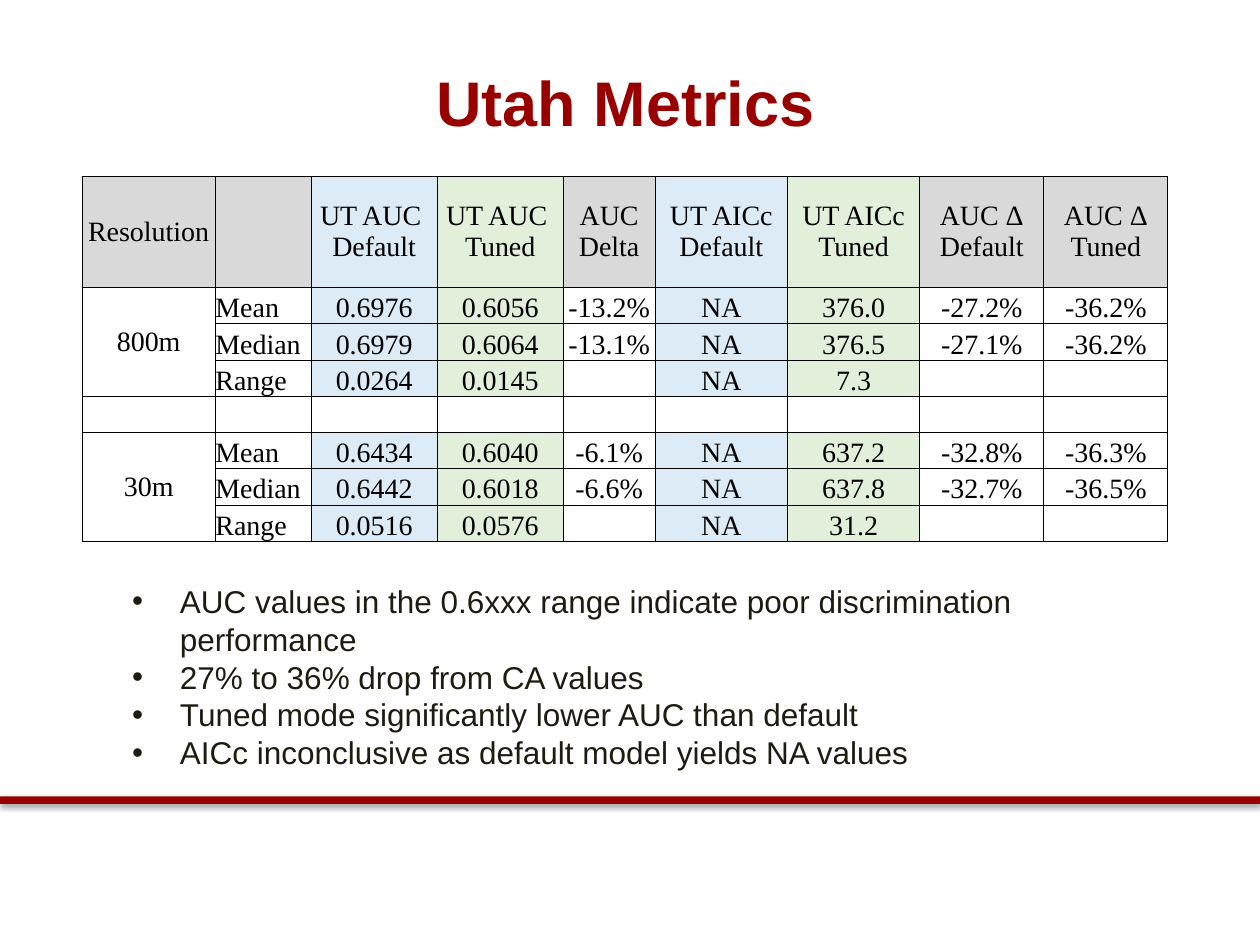
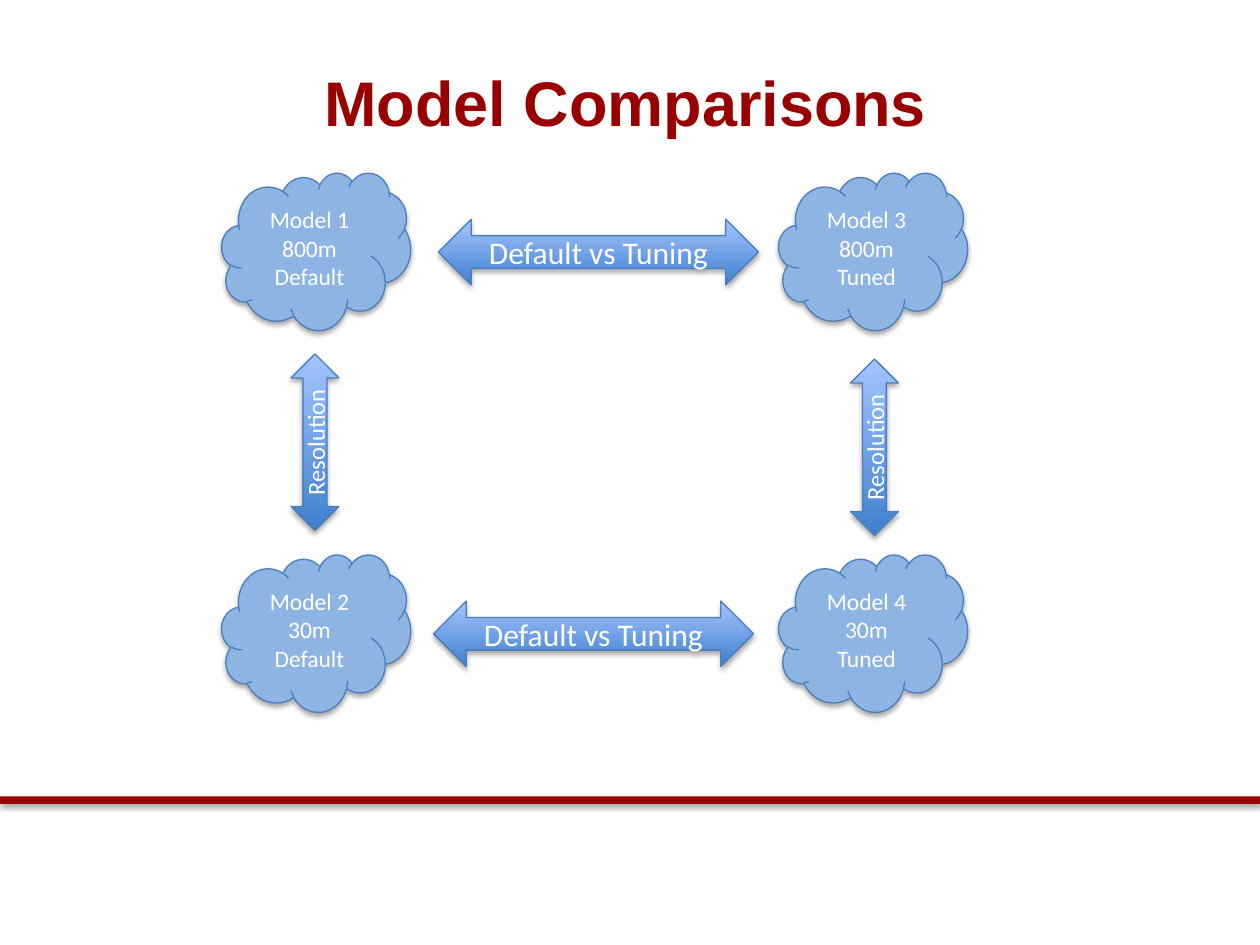
from lxml import etree
from pptx import Presentation
from pptx.dml.color import RGBColor
from pptx.enum import shapes, text
from pptx.oxml import ns
from pptx.util import Inches, Pt

RED = RGBColor(0x99, 0x00, 0x00)
WHITE = RGBColor(0xFF, 0xFF, 0xFF)
BLACK = RGBColor(0x00, 0x00, 0x00)
INK = RGBColor(0x1E, 0x1C, 0x11)
GREY = RGBColor(0xD9, 0xD9, 0xD9)
PALE_BLUE = RGBColor(0xDD, 0xEB, 0xF7)
PALE_GREEN = RGBColor(0xE2, 0xEF, 0xDA)
CLOUD_BLUE = RGBColor(0x8E, 0xB4, 0xE3)
OUTLINE_BLUE = RGBColor(0x4B, 0x7E, 0xBC)
ARROW_DARK = RGBColor(0x3F, 0x80, 0xCE)
ARROW_LIGHT = RGBColor(0xA4, 0xC4, 0xFF)

WIDTH, HEIGHT = 10, 7.5
SHAPE = shapes.MSO_SHAPE
CENTER, LEFT = text.PP_ALIGN.CENTER, text.PP_ALIGN.LEFT
MIDDLE, BOTTOM = text.MSO_ANCHOR.MIDDLE, text.MSO_ANCHOR.BOTTOM

# Column: heading, width, fill of the heading, fill of the values
COLUMNS = [
    ("Resolution", 1.06, GREY, None),
    ("", 0.76, GREY, None),
    ("UT AUC \nDefault", 1.0, PALE_BLUE, PALE_BLUE),
    ("UT AUC \nTuned", 1.0, PALE_GREEN, PALE_GREEN),
    ("AUC\nDelta", 0.73, GREY, None),
    ("UT AICc\nDefault", 1.05, PALE_BLUE, PALE_BLUE),
    ("UT AICc\nTuned", 1.05, PALE_GREEN, PALE_GREEN),
    ("AUC Δ\nDefault", 0.985, GREY, None),
    ("AUC Δ\nTuned", 0.985, GREY, None),
]
METRICS = [
    ("800m", "Mean", "0.6976", "0.6056", "-13.2%", "NA", "376.0", "-27.2%", "-36.2%"),
    ("", "Median", "0.6979", "0.6064", "-13.1%", "NA", "376.5", "-27.1%", "-36.2%"),
    ("", "Range", "0.0264", "0.0145", "", "NA", "7.3", "", ""),
    ("",) * len(COLUMNS),
    ("30m", "Mean", "0.6434", "0.6040", "-6.1%", "NA", "637.2", "-32.8%", "-36.3%"),
    ("", "Median", "0.6442", "0.6018", "-6.6%", "NA", "637.8", "-32.7%", "-36.5%"),
    ("", "Range", "0.0516", "0.0576", "", "NA", "31.2", "", ""),
]
GAP_ROW = 4
RESOLUTION_ROWS = [(1, 3), (5, 7)]
HEADING_HEIGHT, ROW_HEIGHT, GAP_HEIGHT = 0.88, 0.29, 0.28

FINDINGS = [
    "AUC values in the 0.6xxx range indicate poor discrimination performance",
    "27% to 36% drop from CA values",
    "Tuned mode significantly lower AUC than default",
    "AICc inconclusive as default model yields NA values",
]

# Models by column and row of the diagram
CLOUD_LEFTS, CLOUD_TOPS = (1.76, 6.18), (1.37, 4.4)
CLOUD_SIZE = (1.5, 1.25)
MODELS = [
    (0, 1, "Model 2\n30m\nDefault"),
    (1, 0, "Model 3\n800m\nTuned"),
    (1, 1, "Model 4\n30m\nTuned"),
    (0, 0, "Model 1\n800m\nDefault"),
]
ACROSS = ("Default vs Tuning", SHAPE.LEFT_RIGHT_ARROW, (2.54, 0.52), 18)
UPRIGHT = ("Resolution", SHAPE.UP_DOWN_ARROW, (0.38, 1.4), 14)
ARROWS = [
    (ACROSS, (3.48, 1.74)),
    (ACROSS, (3.44, 4.77)),
    (UPRIGHT, (6.75, 2.85)),
    (UPRIGHT, (2.31, 2.81)),
]


def inches(*lengths):
    return [Inches(length) for length in lengths]


def add_element(parent, tag, **attributes):
    element = etree.SubElement(parent, ns.qn(tag))
    for name, value in attributes.items():
        element.set(name, str(value))
    return element


def add_span(para, words, size, font, color, bold=False):
    span = para.add_run()
    span.text = words
    span.font.size, span.font.name, span.font.bold = Pt(size), font, bold
    span.font.color.rgb = color


def add_shadow(shape, opacity, distance):
    shape.shadow.inherit = False
    effects = shape._element.spPr.find(ns.qn("a:effectLst"))
    shadow = add_element(effects, "a:outerShdw", blurRad=Pt(3.1), dist=Pt(distance),
                         dir=90 * 60000, rotWithShape=0)
    color = add_element(shadow, "a:srgbClr", val=BLACK)
    add_element(color, "a:alpha", val=opacity * 1000)


def add_text_box(page, place):
    frame = page.shapes.add_textbox(*inches(*place)).text_frame
    frame.word_wrap = True
    return frame


def start_page(deck, title):
    """Add a blank page with the red band and its title."""
    page = deck.slides.add_slide(deck.slide_layouts[6])
    band = page.shapes.add_shape(SHAPE.RECTANGLE, *inches(0, 6.32, WIDTH, 0.06))
    band.fill.solid()
    band.fill.fore_color.rgb = RED
    band.line.fill.background()
    add_shadow(band, 38, 1.6)
    para = add_text_box(page, (0.88, 0.44, 8.17, 0.71)).paragraphs[0]
    para.alignment, para.line_spacing = CENTER, Pt(44)
    add_span(para, title, 36, "Arial", RED, bold=True)
    return page


def add_borders(cell):
    properties = cell._tc.get_or_add_tcPr()
    for side in ("a:lnL", "a:lnR", "a:lnT", "a:lnB"):
        line = add_element(properties, side, w=Pt(0.5))
        add_element(add_element(line, "a:solidFill"), "a:srgbClr", val=BLACK)


def fill_cell(cell, words, fill, anchor, alignment):
    cell.margin_left = cell.margin_right = cell.margin_top = cell.margin_bottom = 0
    cell.vertical_anchor = anchor
    add_borders(cell)
    if fill is None:
        cell.fill.background()
    else:
        cell.fill.solid()
        cell.fill.fore_color.rgb = fill
    para = cell.text_frame.paragraphs[0]
    para.alignment = alignment
    if not words:
        add_element(para._p, "a:endParaRPr", sz=1600)
        return
    for number, line in enumerate(words.split("\n")):
        if number:
            para.add_line_break()
        add_span(para, line, 16, "Times New Roman", BLACK)


def add_metrics_table(page):
    heights = [HEADING_HEIGHT] + [ROW_HEIGHT] * len(METRICS)
    heights[GAP_ROW] = GAP_HEIGHT
    widths = [width for _, width, _, _ in COLUMNS]
    table = page.shapes.add_table(len(heights), len(widths),
                                  *inches(0.65, 1.4, sum(widths), sum(heights))).table
    table.first_row = table.horz_banding = False
    for row, height in zip(table.rows, heights):
        row.height = Inches(height)
    for c, (heading, width, heading_fill, value_fill) in enumerate(COLUMNS):
        table.columns[c].width = Inches(width)
        fill_cell(table.cell(0, c), heading, heading_fill, MIDDLE, CENTER)
        for r, values in enumerate(METRICS, start=1):
            fill_cell(table.cell(r, c), values[c],
                      None if r == GAP_ROW else value_fill,
                      MIDDLE if c == 0 else BOTTOM,
                      LEFT if c == 1 else CENTER)
    for first, last in RESOLUTION_ROWS:
        table.cell(first, 0).merge(table.cell(last, 0))


def add_findings(page):
    frame = add_text_box(page, (0.95, 4.57, 8.09, 1.62))
    for number, finding in enumerate(FINDINGS):
        para = frame.add_paragraph() if number else frame.paragraphs[0]
        properties = para._p.get_or_add_pPr()
        properties.set("marL", str(Inches(0.38)))
        properties.set("indent", str(-Inches(0.38)))
        add_element(properties, "a:buFont", typeface="Arial")
        add_element(properties, "a:buChar", char="•")
        para.line_spacing = Pt(21.6)
        add_span(para, finding, 18, "Arial", INK)


def add_diagram_shape(page, kind, place, size, words, text_size):
    shape = page.shapes.add_shape(kind, *inches(*place, *size))
    shape.line.color.rgb, shape.line.width = OUTLINE_BLUE, Pt(0.75)
    add_shadow(shape, 35, 1.8)
    frame = shape.text_frame
    frame.word_wrap, frame.vertical_anchor = True, MIDDLE
    for number, line in enumerate(words.split("\n")):
        para = frame.add_paragraph() if number else frame.paragraphs[0]
        para.alignment = CENTER
        add_span(para, line, text_size, "Calibri", WHITE)
    return shape


def add_comparison_diagram(page):
    for column, row, words in MODELS:
        cloud = add_diagram_shape(page, SHAPE.CLOUD, (CLOUD_LEFTS[column], CLOUD_TOPS[row]),
                                  CLOUD_SIZE, words, 13.5)
        cloud.fill.solid()
        cloud.fill.fore_color.rgb = CLOUD_BLUE
    for (words, kind, size, text_size), place in ARROWS:
        arrow = add_diagram_shape(page, kind, place, size, words, text_size)
        arrow.fill.gradient()
        arrow.fill.gradient_angle = 90
        for stop, color, position in zip(arrow.fill.gradient_stops,
                                         (ARROW_DARK, ARROW_LIGHT), (0, 1)):
            stop.color.rgb, stop.position = color, position
        if kind == SHAPE.UP_DOWN_ARROW:
            arrow.text_frame._txBody.bodyPr.set("vert", "vert270")


def main():
    deck = Presentation()
    deck.slide_width, deck.slide_height = inches(WIDTH, HEIGHT)
    metrics_page = start_page(deck, "Utah Metrics")
    add_findings(metrics_page)
    add_metrics_table(metrics_page)
    add_comparison_diagram(start_page(deck, "Model Comparisons"))
    deck.save("out.pptx")


if __name__ == "__main__":
    main()
